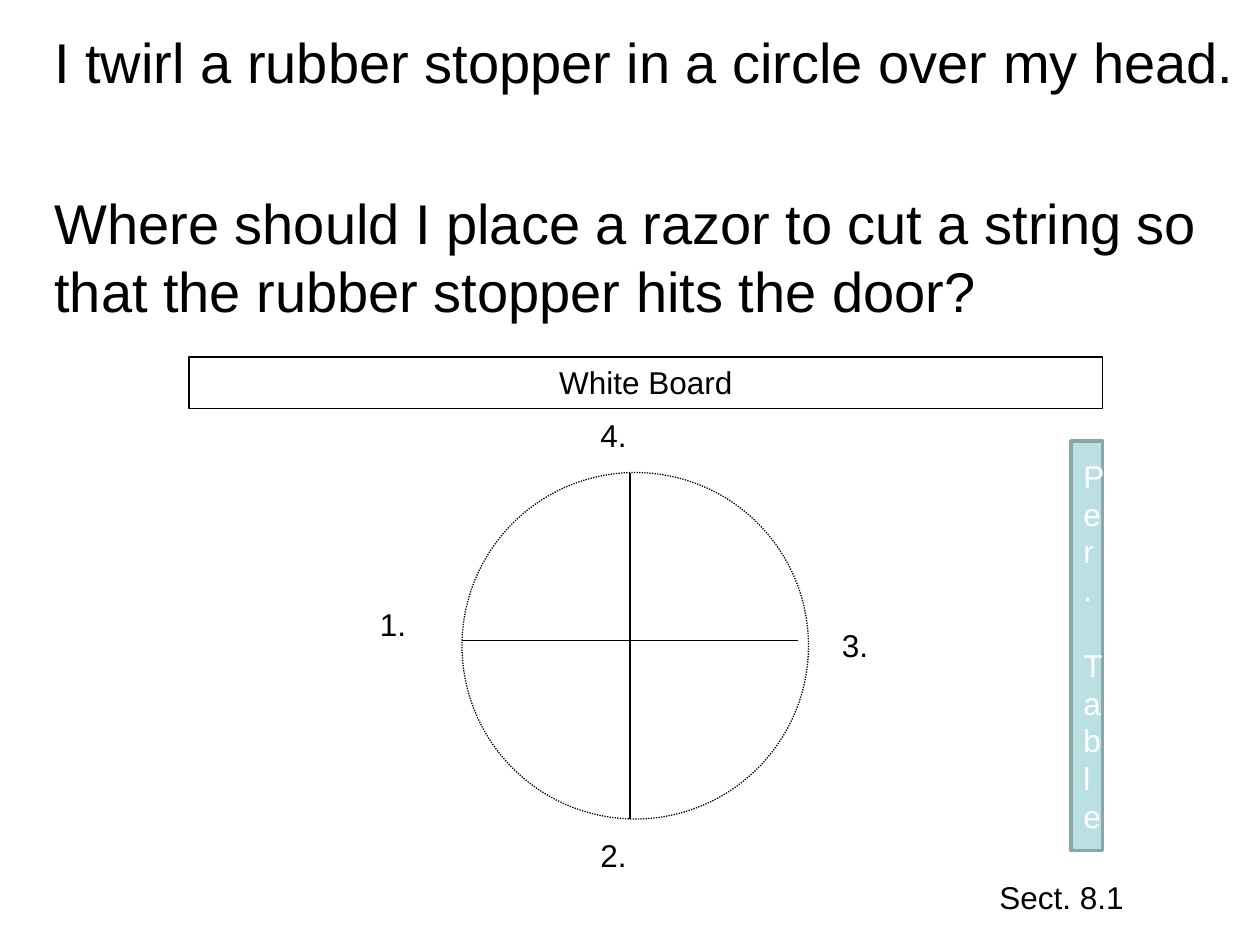
import pptx
import pptx.util
import pptx.dml.color
import pptx.enum.dml
import pptx.enum.shapes
import pptx.enum.text
import pptx.oxml.ns
import lxml.etree

SCALE = 914400 // 120  # EMU per px
Pt = pptx.util.Pt
Kind = pptx.enum.shapes.MSO_SHAPE
Align = pptx.enum.text.PP_ALIGN
Anchor = pptx.enum.text.MSO_ANCHOR


def tint(code):
    return pptx.dml.color.RGBColor.from_string(code)


def write(shape, lines, size, color="000000", align=Align.LEFT,
          anchor=Anchor.TOP, gap=0):
    frame = shape.text_frame
    frame.word_wrap = True
    frame.vertical_anchor = anchor
    for i, line in enumerate(lines):
        para = frame.add_paragraph() if i else frame.paragraphs[0]
        para.alignment = align
        para.space_before = Pt(gap if i else 0)
        run = para.add_run()
        run.text = line
        run.font.size = Pt(size)
        run.font.name = "Arial"
        run.font.color.rgb = tint(color)


deck = pptx.Presentation()
deck.slide_width = 1200 * SCALE
deck.slide_height = 900 * SCALE
slide = deck.slides.add_slide(deck.slide_layouts[6])
shapes = slide.shapes

# Question
box = shapes.add_textbox(*[n * SCALE for n in (40, 20, 1160, 236)])
write(box, ["I twirl a rubber stopper in a circle over my head.",
            "Where should I place a razor to cut a string so that the "
            "rubber stopper hits the door?"], 32, gap=54)

# Board, path of the stopper, and table on the wall
parts = []
for kind, place, fill, edge, width in [
    (Kind.RECTANGLE, (180, 340, 870, 49), None, "000000", 0.75),
    (Kind.OVAL, (440, 450, 330, 330), None, "000000", 0.75),
    (Kind.RECTANGLE, (1020, 420, 30, 390), "BBE0E3", "8AA6A8", 2),
]:
    part = shapes.add_shape(kind, *[n * SCALE for n in place])
    part.shadow.inherit = False
    if fill:
        part.fill.solid()
        part.fill.fore_color.rgb = tint(fill)
    else:
        part.fill.background()
    part.line.color.rgb = tint(edge)
    part.line.width = Pt(width)
    parts.append(part)
board, ring, table = parts
ring.line.dash_style = pptx.enum.dml.MSO_LINE.ROUND_DOT
write(board, ["White Board"], 18, align=Align.CENTER)
write(table, ["Per. Table"], 18, "FFFFFF", Align.CENTER, Anchor.MIDDLE)

# Strings from the hub
hub = (600, 610)
for end in [(760, 610), (440, 610), (600, 780), (600, 450)]:
    cord = shapes.add_connector(pptx.enum.shapes.MSO_CONNECTOR.STRAIGHT,
                                *[n * SCALE for n in hub + end])
    cord.line.color.rgb = tint("000000")
    cord.line.width = Pt(0.75)
    lxml.etree.SubElement(cord._element.spPr,
                          pptx.oxml.ns.qn("a:effectLst"))

# Labels
for text, left, top, width in [
    ("1.", 350, 570, 80),
    ("2.", 560, 790, 80),
    ("3.", 790, 590, 80),
    ("4.", 560, 390, 80),
    ("Sect. 8.1", 940, 830, 230),
]:
    label = shapes.add_textbox(*[n * SCALE for n in (left, top, width, 48)])
    write(label, [text], 18)

deck.save("out.pptx")
